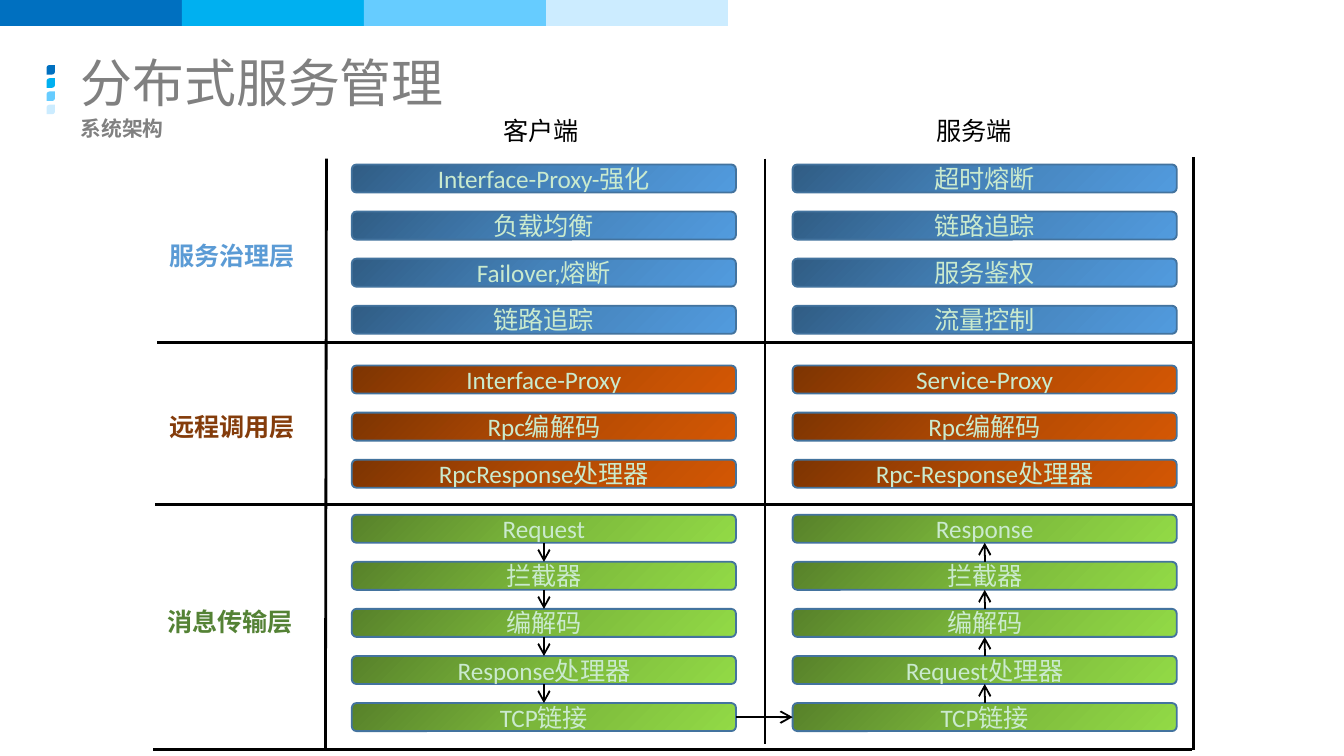
from copy import deepcopy
from itertools import pairwise

from pptx import Presentation
from pptx.dml.color import RGBColor
from pptx.enum.shapes import MSO_CONNECTOR, MSO_SHAPE
from pptx.enum.text import MSO_ANCHOR, PP_ALIGN
from pptx.oxml.ns import qn
from pptx.oxml.xmlchemy import OxmlElement
from pptx.util import Cm, Pt

CJK_FONT = "Noto Sans CJK SC"
ACCENTS = ["0070C0", "00B0F0", "66CCFF", "CCECFF"]
BLUE = ["305C84", "4583BB", "529BDE"]
BROWN = ["7D3402", "B24A03", "D35704"]
GREEN = ["57812A", "7BB73B", "92DA46"]
CLIENT_LEFT, SERVER_LEFT = 6.65, 14.98
BOX_WIDTH, BOX_HEIGHT, BOX_PITCH = 7.26, 0.53, 0.89
TOP, LEFT, BOTTOM, RIGHT = range(4)

LAYERS = [
    ("服务治理层", "5B9BD5", 2.95, 4.42, 3.11, BLUE,
     ["Interface-Proxy-强化", "负载均衡", "Failover,熔断", "链路追踪"],
     ["超时熔断", "链路追踪", "服务鉴权", "流量控制"]),
    ("远程调用层", "843C0B", 2.95, 7.65, 6.91, BROWN,
     ["Interface-Proxy", "Rpc编解码", "RpcResponse处理器"],
     ["Service-Proxy", "Rpc编解码", "Rpc-Response处理器"]),
    ("消息传输层", "548235", 2.92, 11.33, 9.73, GREEN,
     ["Request", "拦截器", "编解码", "Response处理器", "TCP链接"],
     ["Response", "拦截器", "编解码", "Request处理器", "TCP链接"]),
]

GRID_LINES = [
    (6.17, 3, 6.15, 14.15, 1.5),
    (14.45, 3, 14.45, 14.07, 1),
    (22.56, 2.97, 22.56, 14.17, 1.5),
    (22.53, 6.48, 2.97, 6.48, 1.5),
    (22.58, 9.53, 2.92, 9.53, 1.5),
    (22.53, 14.17, 2.9, 14.17, 1.5),
]


def color(value):
    return RGBColor.from_string(value)


def format_text(text_frame, text, size, font_color, font_name="Calibri", bold=False):
    text_frame.text = text
    run = text_frame.paragraphs[0].runs[0]
    run.font.size = Pt(size)
    run.font.bold = bold
    run.font.color.rgb = color(font_color)
    run.font.name = font_name
    east_asian = OxmlElement("a:ea")
    east_asian.set("typeface", CJK_FONT)
    run.font._element.append(east_asian)


def add_label(slide, left, top, width, height, text, size, font_color,
              font_name="Calibri", bold=False, wrap=False, anchor=MSO_ANCHOR.TOP):
    text_box = slide.shapes.add_textbox(Cm(left), Cm(top), Cm(width), Cm(height))
    text_frame = text_box.text_frame
    text_frame.word_wrap = wrap
    text_frame.vertical_anchor = anchor
    format_text(text_frame, text, size, font_color, font_name, bold)


def add_plain_shape(slide, kind, left, top, width, height, fill_color):
    shape = slide.shapes.add_shape(kind, Cm(left), Cm(top), Cm(width), Cm(height))
    shape.shadow.inherit = False
    shape.fill.solid()
    shape.fill.fore_color.rgb = color(fill_color)
    shape.line.fill.background()
    return shape


def fill_gradient(shape, colors):
    shape.fill.gradient()
    shape.fill.gradient_angle = 315
    stop_list = shape._element.spPr.find(qn("a:gradFill")).find(qn("a:gsLst"))
    stop_list.insert(1, deepcopy(stop_list[0]))
    for stop, position, value in zip(shape.fill.gradient_stops, (0, 0.5, 1), colors):
        stop.position = position
        stop.color.rgb = color(value)


def add_box(slide, left, top, text, colors):
    shape = slide.shapes.add_shape(MSO_SHAPE.ROUNDED_RECTANGLE, Cm(left), Cm(top),
                                   Cm(BOX_WIDTH), Cm(BOX_HEIGHT))
    shape.shadow.inherit = False
    fill_gradient(shape, colors)
    shape.line.color.rgb = color("43739E")
    shape.line.width = Pt(1)
    shape.text_frame.vertical_anchor = MSO_ANCHOR.MIDDLE
    format_text(shape.text_frame, text, 13.5, "CAEACE")
    shape.text_frame.paragraphs[0].alignment = PP_ALIGN.CENTER
    return shape


def add_stack(slide, left, top, texts, colors):
    return [add_box(slide, left, top + index * BOX_PITCH, text, colors)
            for index, text in enumerate(texts)]


def add_line(slide, start_x, start_y, end_x, end_y, width):
    connector = slide.shapes.add_connector(MSO_CONNECTOR.STRAIGHT, Cm(start_x), Cm(start_y),
                                           Cm(end_x), Cm(end_y))
    connector.line.color.rgb = color("000000")
    connector.line.width = Pt(width)
    connector._element.spPr.append(OxmlElement("a:effectLst"))
    return connector


def add_arrow(slide, source, source_side, target, target_side):
    connector = add_line(slide, 0, 0, 0, 0, 1)
    connector.begin_connect(source, source_side)
    connector.end_connect(target, target_side)
    arrowhead = OxmlElement("a:tailEnd")
    arrowhead.set("type", "arrow")
    connector.line._get_or_add_ln().append(arrowhead)


def add_header(slide):
    for index, accent in enumerate(ACCENTS):
        add_plain_shape(slide, MSO_SHAPE.RECTANGLE, index * 3.44, 0, 3.44, 0.49, accent)
        leaf = add_plain_shape(slide, MSO_SHAPE.ROUND_2_DIAG_RECTANGLE,
                               0.88, 1.23 + index * 0.25, 0.16, 0.18, accent)
        leaf.adjustments[0] = 0.35
    add_label(slide, 1.27, 1.04, 22.86, 1.02, "分布式服务管理", 27.8, "808080",
              CJK_FONT, wrap=True, anchor=MSO_ANCHOR.MIDDLE)
    add_label(slide, 1.27, 2.06, 22.86, 0.84, "系统架构", 11.1, "808080",
              CJK_FONT, bold=True, wrap=True)
    add_label(slide, 9.27, 2.06, 1.96, 0.84, "客户端", 13.5, "000000")
    add_label(slide, 17.45, 2.06, 1.96, 0.84, "服务端", 13.5, "000000")


def add_message_flow(slide, client_boxes, server_boxes):
    for upper, lower in pairwise(client_boxes):
        add_arrow(slide, upper, BOTTOM, lower, TOP)
    add_arrow(slide, client_boxes[-1], RIGHT, server_boxes[-1], LEFT)
    for upper, lower in pairwise(server_boxes):
        add_arrow(slide, lower, TOP, upper, BOTTOM)


def main():
    presentation = Presentation()
    presentation.slide_width = Cm(25.4)
    presentation.slide_height = Cm(14.29)
    slide = presentation.slides.add_slide(presentation.slide_layouts[6])
    add_header(slide)
    for grid_line in GRID_LINES:
        add_line(slide, *grid_line)
    for name, name_color, left, name_top, top, colors, client_texts, server_texts in LAYERS:
        add_label(slide, left, name_top, 2.92, 0.84, name, 13.5, name_color, bold=True)
        client_boxes = add_stack(slide, CLIENT_LEFT, top, client_texts, colors)
        server_boxes = add_stack(slide, SERVER_LEFT, top, server_texts, colors)
    add_message_flow(slide, client_boxes, server_boxes)
    presentation.save("out.pptx")


if __name__ == "__main__":
    main()
